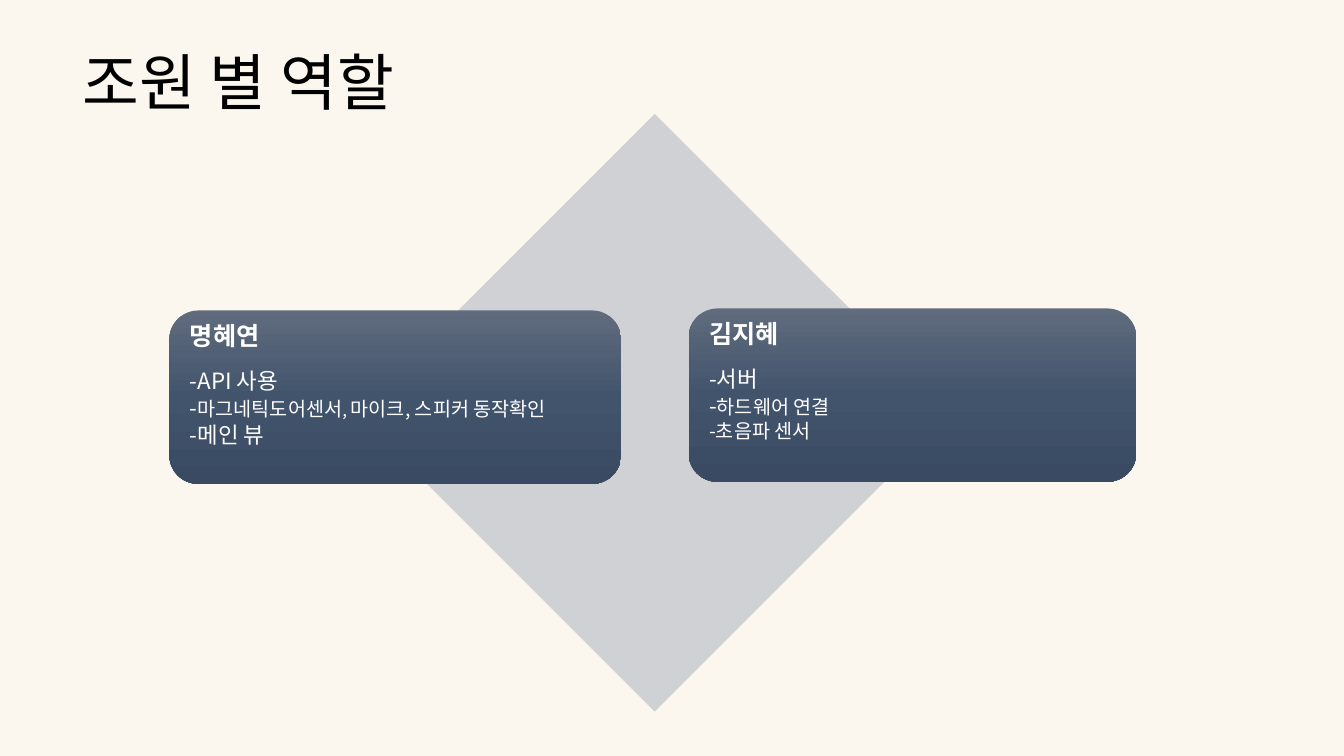
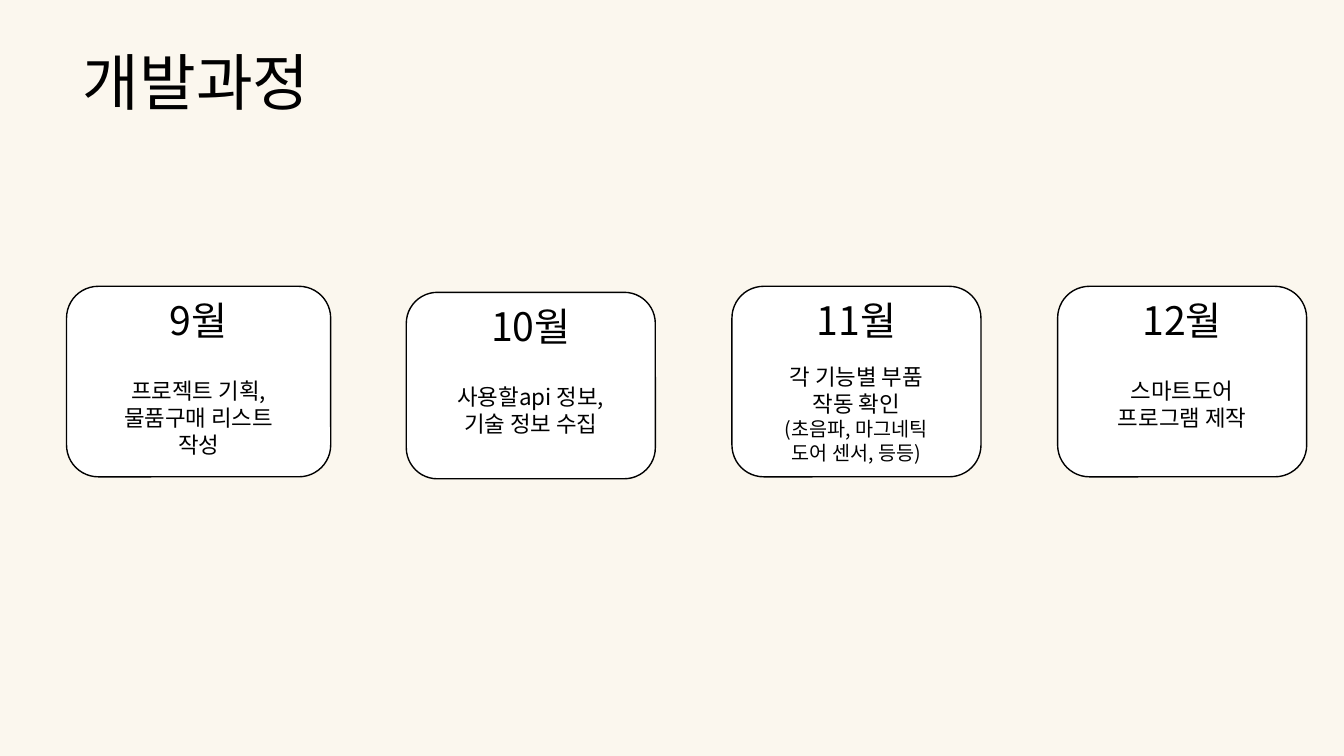
from copy import deepcopy

from pptx import Presentation
from pptx.dml.color import RGBColor
from pptx.enum.shapes import MSO_SHAPE
from pptx.enum.text import MSO_ANCHOR, MSO_AUTO_SIZE, PP_ALIGN
from pptx.oxml.ns import qn
from pptx.util import Inches, Pt

# Shared style
FONT = "Noto Sans CJK KR"
CREAM = RGBColor(0xFB, 0xF7, 0xEE)
BLACK = RGBColor(0x00, 0x00, 0x00)
WHITE = RGBColor(0xFF, 0xFF, 0xFF)
DIAMOND_GRAY = RGBColor(0xCF, 0xD1, 0xD4)
NAVY_STOPS = [
    (0, RGBColor(0x60, 0x6B, 0x7D)),
    (0.5, RGBColor(0x42, 0x54, 0x6C)),
    (1, RGBColor(0x39, 0x4A, 0x62)),
]
LINE_HEIGHT = 1.2

prs = Presentation()
prs.slide_width = Inches(13.33)
prs.slide_height = Inches(7.5)
background = prs.slide_master.background.fill
background.solid()
background.fore_color.rgb = CREAM


def write_lines(frame, lines, color, align, heading_gap=0):
    """Write paragraphs, each a list of (text, size) runs; the first is the heading."""
    frame.word_wrap = True
    frame.auto_size = MSO_AUTO_SIZE.NONE
    frame.vertical_anchor = MSO_ANCHOR.TOP
    for index, pieces in enumerate(lines):
        paragraph = frame.paragraphs[0] if index == 0 else frame.add_paragraph()
        paragraph.alignment = align
        paragraph.line_spacing = Pt(LINE_HEIGHT * max(size for _, size in pieces))
        paragraph.space_before = Pt(heading_gap if index == 1 else 0)
        for text, size in pieces:
            run = paragraph.add_run()
            run.text = text
            run.font.size = Pt(size)
            run.font.color.rgb = color
            run.font.name = FONT
            east_asian = run.font._element.makeelement(qn("a:ea"), {"typeface": FONT})
            run.font._element.find(qn("a:latin")).addnext(east_asian)


def add_titled_slide(title_text):
    slide = prs.slides.add_slide(prs.slide_layouts[5])
    title = slide.shapes.title
    title.left, title.top = Inches(0.72), Inches(0.39)
    title.width, title.height = Inches(11.5), Inches(1.45)
    write_lines(title.text_frame, [[(title_text, 44)]], BLACK, PP_ALIGN.LEFT)
    return slide


# Slide 1: roles of the team members
roles_slide = add_titled_slide("조원 별 역할")
diamond = roles_slide.shapes.add_shape(
    MSO_SHAPE.DIAMOND, Inches(3.53), Inches(1.13), Inches(5.93), Inches(5.93))
diamond.shadow.inherit = False
diamond.fill.solid()
diamond.fill.fore_color.rgb = DIAMOND_GRAY
diamond.line.fill.background()

members = [
    (1.68, 3.08, 4.48, [
        [("명혜연", 18)],
        [("-API 사용", 16)],
        [("-", 16), ("마그네틱도어센서", 14), (", ", 12), ("마이크, 스피커 동작확인", 14)],
        [("-메인 뷰", 16)],
    ]),
    (6.83, 3.06, 4.44, [
        [("김지혜", 18)],
        [("-서버", 16)],
        [("-", 16), ("하드웨어 연결", 14)],
        [("-초음파 센서", 14)],
    ]),
]
for left, top, width, lines in members:
    member_card = roles_slide.shapes.add_shape(
        MSO_SHAPE.ROUNDED_RECTANGLE, Inches(left), Inches(top), Inches(width), Inches(1.72))
    member_card.shadow.inherit = False
    member_card.line.fill.background()
    member_card.fill.gradient()
    member_card.fill.gradient_angle = 270
    stop_list = member_card._element.spPr.find(qn("a:gradFill")).find(qn("a:gsLst"))
    stop_list.append(deepcopy(stop_list[0]))
    for stop, (position, color) in zip(member_card.fill.gradient_stops, NAVY_STOPS):
        stop.position = position
        stop.color.rgb = color
    frame = member_card.text_frame
    frame.margin_left, frame.margin_top = Inches(0.12), Inches(0.01)
    write_lines(frame, lines, WHITE, PP_ALIGN.LEFT, heading_gap=12)
    frame.paragraphs[0].runs[0].font.bold = True

# Slide 2: development schedule by month
schedule_slide = add_titled_slide("개발과정")
months = [
    (0.66, 2.84, 2.62, 1.89, 24, [
        [("9월", 28)],
        [("프로젝트 기획,", 16)],
        [("물품구매 리스트", 16)],
        [("작성", 16)],
    ]),
    (4.03, 2.9, 2.47, 1.85, 24, [
        [("10월", 28)],
        [("사용할api 정보,", 16)],
        [("기술 정보 수집", 16)],
    ]),
    (7.26, 2.84, 2.47, 1.89, 14, [
        [("11월", 28)],
        [("각 기능별 부품", 16)],
        [("작동 확인", 16)],
        [("(초음파, 마그네틱 도어 센서, 등등)", 14)],
    ]),
    (10.49, 2.84, 2.47, 1.89, 24, [
        [("12월", 28)],
        [("스마트도어", 16)],
        [("프로그램 제작", 16)],
    ]),
]
for left, top, width, height, gap, lines in months:
    month_card = schedule_slide.shapes.add_shape(
        MSO_SHAPE.ROUNDED_RECTANGLE, Inches(left), Inches(top), Inches(width), Inches(height))
    month_card.shadow.inherit = False
    month_card.fill.solid()
    month_card.fill.fore_color.rgb = WHITE
    month_card.line.color.rgb = BLACK
    month_card.line.width = Pt(1)
    frame = month_card.text_frame
    frame.margin_left = frame.margin_right = Inches(0.27)
    frame.margin_top = Inches(0.01)
    write_lines(frame, lines, BLACK, PP_ALIGN.CENTER, heading_gap=gap)

prs.save("out.pptx")
